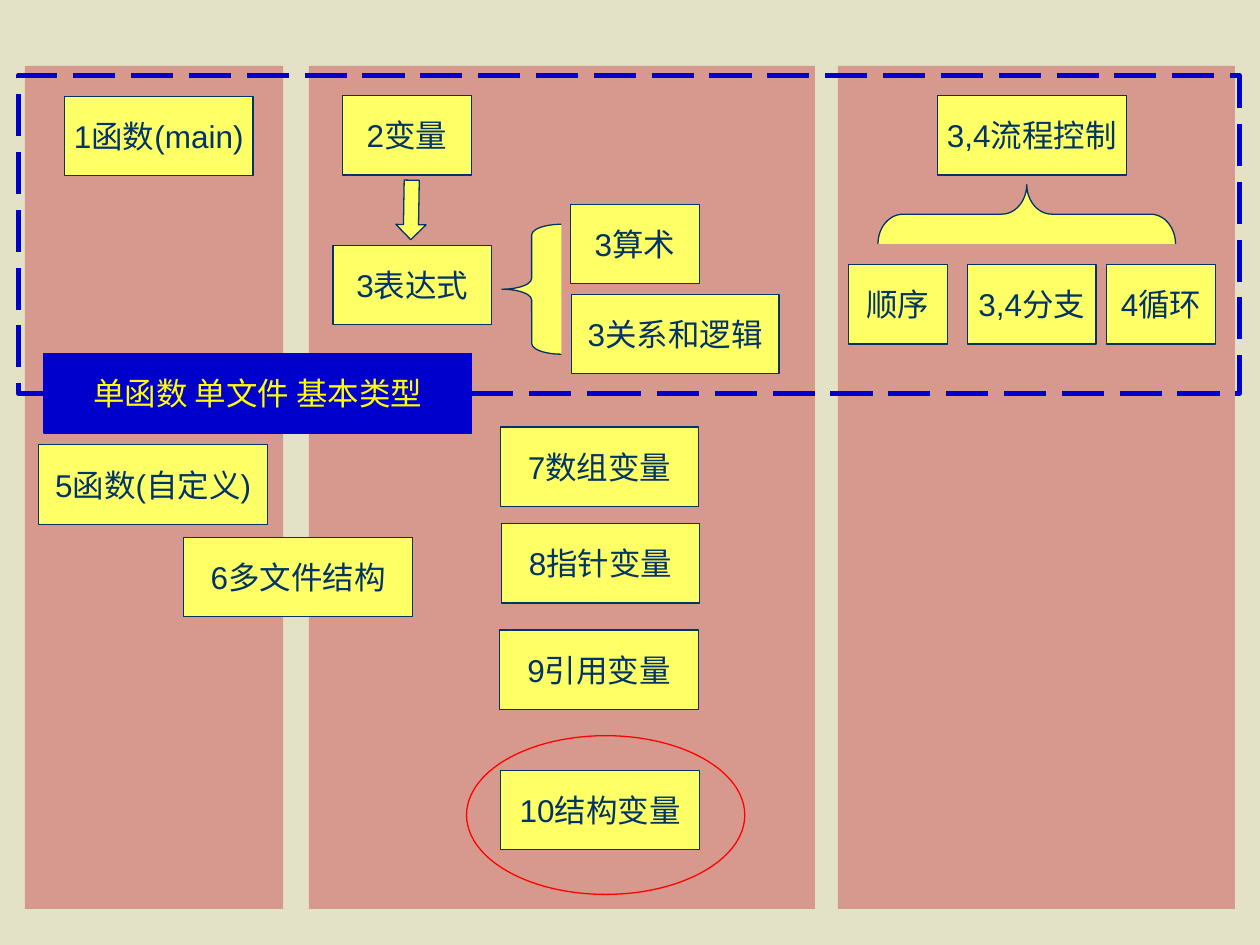
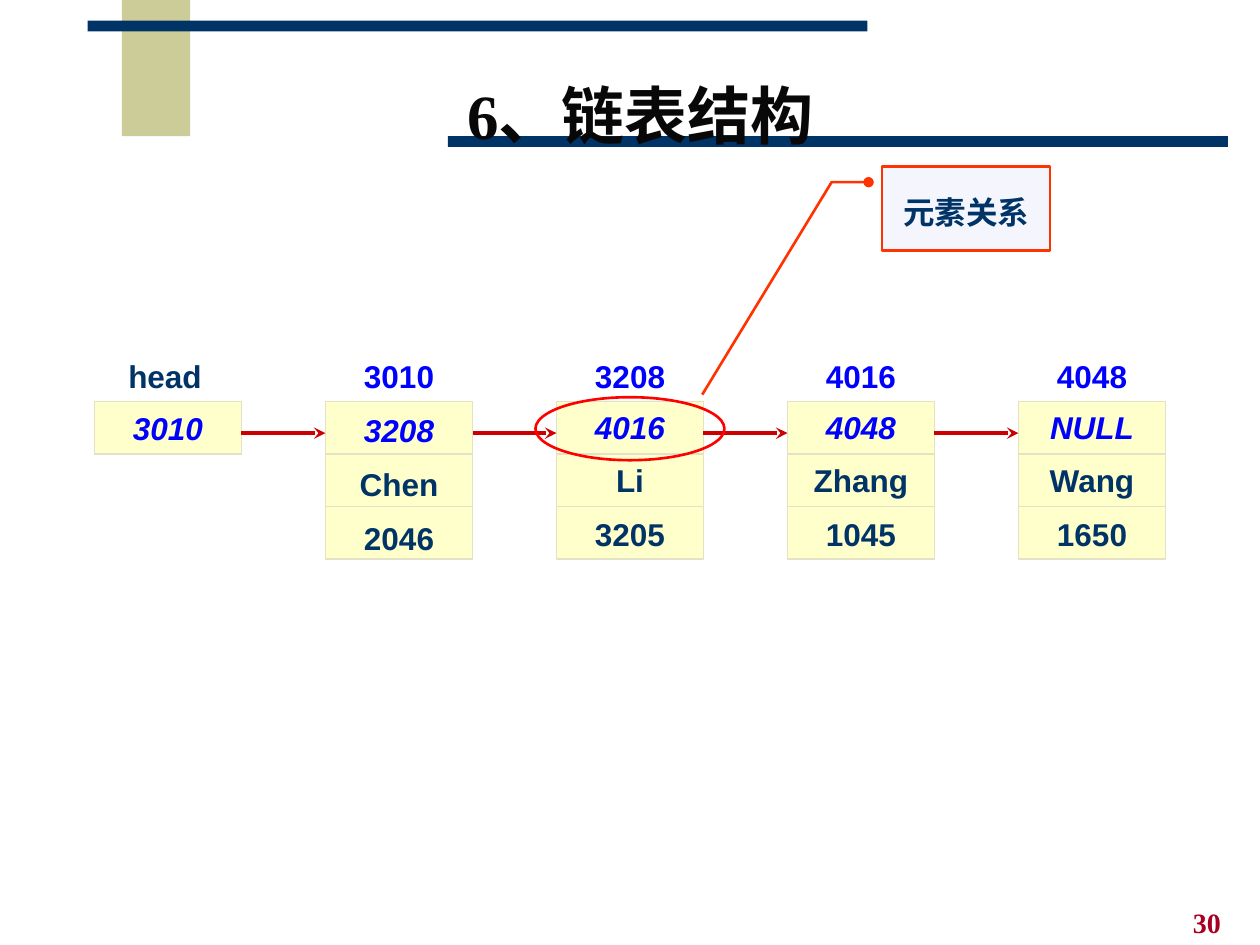
"""Build two slides: a C++ course map and the structure of a linked list."""
from lxml.etree import SubElement
from pptx import Presentation
from pptx.dml.color import RGBColor
from pptx.enum.dml import MSO_LINE
from pptx.enum.shapes import MSO_CONNECTOR, MSO_SHAPE
from pptx.enum.text import MSO_ANCHOR, MSO_AUTO_SIZE, PP_ALIGN
from pptx.oxml.ns import qn
from pptx.util import Pt

NAVY, BLUE, ROYAL, RED = "003366", "0000FF", "0000CC", "FF0000"
SAND, ROSE, YELLOW, CREAM = "E3E2C7", "D7998D", "FFFF66", "FFFFCC"
BOX_H = 45.4
NODE_X, NODE_STEP, NODE_Y, NODE_W, CELL_H = 54, 132, 229.5, 84, 30
ARROW_Y = 247.5

COLUMNS = [(478.8, 226.8), (176.5, 289.2), (14.2, 147.6)]
TOPICS = [
    ("1函数(main)", 36.7, 55, 108),
    ("2变量", 195.8, 54.6, 73.5),
    ("3表达式", 190.2, 140.2, 90.8),
    ("3算术", 326, 116.8, 73.6),
    ("3关系和逻辑", 326.4, 168.2, 118.8),
    ("3,4流程控制", 535.6, 54.6, 108),
    ("顺序", 484.8, 151.2, 56.6),
    ("3,4分支", 552.8, 151.2, 73.6),
    ("4循环", 632.2, 151.2, 62.6),
    ("5函数(自定义)", 22.2, 254.2, 130.6),
    ("6多文件结构", 105, 307, 130.6),
    ("7数组变量", 286, 244, 113.2),
    ("8指针变量", 286.6, 299.2, 113.2),
    ("9引用变量", 285.6, 360, 113.4),
    ("10结构变量", 286.2, 440.2, 113.6),
]
NODES = [
    ("3010", ["3208", "Chen", "2046"]),
    ("3208", ["4016", "Li", "3205"]),
    ("4016", ["4048", "Zhang", "1045"]),
    ("4048", ["NULL", "Wang", "1650"]),
]


def rgb(color):
    """Turn a hex string into a colour."""
    return RGBColor.from_string(color)


def set_background(slide, color):
    """Fill the slide background."""
    fill = slide.background.fill
    fill.solid()
    fill.fore_color.rgb = rgb(color)


def add_box(slide, kind, x, y, w, h, fill=None, line=None, width=0.75):
    """Add a preset shape with an optional fill and outline."""
    sp = slide.shapes.add_shape(kind, Pt(x), Pt(y), Pt(w), Pt(h))
    sp.shadow.inherit = False
    if fill:
        sp.fill.solid()
        sp.fill.fore_color.rgb = rgb(fill)
    else:
        sp.fill.background()
    if line:
        sp.line.color.rgb = rgb(line)
        sp.line.width = Pt(width)
    else:
        sp.line.fill.background()
    return sp


def add_rect(slide, *args, **kwargs):
    """Add a rectangle."""
    return add_box(slide, MSO_SHAPE.RECTANGLE, *args, **kwargs)


def style_run(r, color, size=18, font="Arial", bold=False, italic=False):
    """Format one run."""
    r.font.name = font
    r.font.size = Pt(size)
    r.font.bold = bold
    r.font.italic = italic
    r.font.color.rgb = rgb(color)


def write(sp, text, color, wrap=False, align=PP_ALIGN.CENTER, **style):
    """Put vertically centred text into a shape."""
    tf = sp.text_frame
    tf.text = text
    tf.word_wrap = wrap
    tf.vertical_anchor = MSO_ANCHOR.MIDDLE
    for p in tf.paragraphs:
        p.alignment = align
        for r in p.runs:
            style_run(r, color, **style)
    return tf


def add_label(slide, text, x, y, w, h, color, **style):
    """Add a bold text box."""
    sp = slide.shapes.add_textbox(Pt(x), Pt(y), Pt(w), Pt(h))
    write(sp, text, color, bold=True, **style)


def add_line(slide, x1, y1, x2, y2, color, width=0.75, tail=None):
    """Add a straight connector with an optional arrowhead."""
    cx = slide.shapes.add_connector(MSO_CONNECTOR.STRAIGHT, Pt(x1), Pt(y1), Pt(x2), Pt(y2))
    cx.line.color.rgb = rgb(color)
    cx.line.width = Pt(width)
    if tail:
        SubElement(cx.line._get_or_add_ln(), qn("a:tailEnd"), type=tail)
    SubElement(cx._element.spPr, qn("a:effectLst"))


def add_symbol(slide, kind, x, y, w, h, adjustments, rotation=0):
    """Add a yellow arrow or brace."""
    sp = add_box(slide, kind, x, y, w, h, YELLOW, NAVY)
    for i, value in enumerate(adjustments):
        sp.adjustments[i] = value
    sp.rotation = rotation


def add_node(slide, x, address, fields, drop=0):
    """Add a list node: its address, three fields and two dividers."""
    sp = add_rect(slide, x, NODE_Y, NODE_W, 3 * CELL_H, CREAM, SAND)
    tf = write(sp, "\n".join(fields), NAVY, bold=True)
    tf.margin_top = Pt(3.6 + drop)
    style_run(tf.paragraphs[0].runs[0], BLUE, bold=True, italic=True)
    for p in tf.paragraphs[1:]:
        p.space_before = Pt(9)
    for row in (1, 2):
        y = NODE_Y + row * CELL_H
        add_line(slide, x, y, x + NODE_W, y, SAND)
    add_label(slide, address, x + 12, 200.2, 60, 28.8, BLUE)


def add_callout(slide, text, x, y, w, h):
    """Add a callout whose bent leader starts with a dot."""
    sp = add_box(slide, MSO_SHAPE.LINE_CALLOUT_2, x, y, w, h, "F5F6FD", "FF3300", 1.5)
    for i, value in enumerate((0.19, -0.08, 0.19, -0.3, 2.72, -1.07)):
        sp.adjustments[i] = value
    SubElement(sp.line._get_or_add_ln(), qn("a:headEnd"), type="oval")
    tf = write(sp, text, NAVY, bold=True)
    tf.margin_top = Pt(8)


def add_bands(slide):
    """Add the decorative bands and the slide number."""
    add_rect(slide, 69.7, 0, 39, 77.8, "CCCC99")
    add_rect(slide, 50, 11.8, 445.7, 6.2, NAVY)
    add_rect(slide, 256, 77.8, 445.7, 6.2, NAVY)
    add_label(slide, "30", 674.6, 514, 45, 26, "A50021",
              align=PP_ALIGN.LEFT, size=16, font="Times New Roman")


def set_title(slide, number, text):
    """Fill the title placeholder and bring it to the front."""
    title = slide.shapes.title
    title.left, title.top, title.width, title.height = Pt(201), Pt(36), Pt(329.8), Pt(65.5)
    tf = write(title, number, "080808", wrap=True, size=36, font="Times New Roman", bold=True)
    tf.auto_size = MSO_AUTO_SIZE.NONE
    p = tf.paragraphs[0]
    p.line_spacing = 0.85
    r = p.add_run()
    r.text = text
    style_run(r, "080808", size=36, bold=True)
    title.element.getparent().append(title.element)


def build_course_map(prs):
    """Build the map of course topics."""
    slide = prs.slides.add_slide(prs.slide_layouts[6])
    set_background(slide, SAND)
    for x, w in COLUMNS:
        add_rect(slide, x, 37.6, w, 481.8, ROSE)
    add_symbol(slide, MSO_SHAPE.RIGHT_ARROW, 218, 111.4, 34, 17.2, (0.5, 0.5), 91)
    add_symbol(slide, MSO_SHAPE.LEFT_BRACE, 286.8, 128.2, 34, 74.2, (0.18, 0.5))
    add_symbol(slide, MSO_SHAPE.LEFT_BRACE, 569.7, 37.4, 34, 170, (0.42, 0.5), 90)
    frame = add_rect(slide, 10.6, 43, 697.6, 181.8, line=ROYAL, width=3)
    frame.line.dash_style = MSO_LINE.LONG_DASH
    for text, x, y, w in TOPICS:
        write(add_rect(slide, x, y, w, BOX_H, YELLOW, NAVY), text, NAVY)
    add_box(slide, MSO_SHAPE.OVAL, 266.6, 420.4, 159, 90.7, line=RED)
    summary = add_rect(slide, 25.2, 202, 244.4, BOX_H, ROYAL, ROYAL)
    write(summary, "单函数 单文件 基本类型", "FFFF00")


def build_linked_list(prs):
    """Build the linked list diagram."""
    slide = prs.slides.add_slide(prs.slide_layouts[5])
    set_background(slide, "FFFFFF")
    add_bands(slide)
    head = add_rect(slide, NODE_X, NODE_Y, NODE_W, CELL_H, CREAM, SAND)
    write(head, "3010", BLUE, bold=True, italic=True)
    add_label(slide, "head", 66.2, 200.2, 56.2, 28.8, NAVY)
    for i, (address, fields) in enumerate(NODES, 1):
        x = NODE_X + i * NODE_STEP
        add_node(slide, x, address, fields, drop=4 if i == 1 else 0)
        add_line(slide, x - NODE_STEP + NODE_W, ARROW_Y, x, ARROW_Y, "CC0000", 2.25, "stealth")
    add_box(slide, MSO_SHAPE.OVAL, 306, 227, 108, 36, line=RED, width=1.5)
    add_callout(slide, "元素关系", 504, 95, 96, 48)
    set_title(slide, "6", "、链表结构")


def main():
    """Create and save the presentation."""
    prs = Presentation()
    prs.slide_width, prs.slide_height = Pt(720), Pt(540)
    build_course_map(prs)
    build_linked_list(prs)
    prs.save("out.pptx")


if __name__ == "__main__":
    main()
